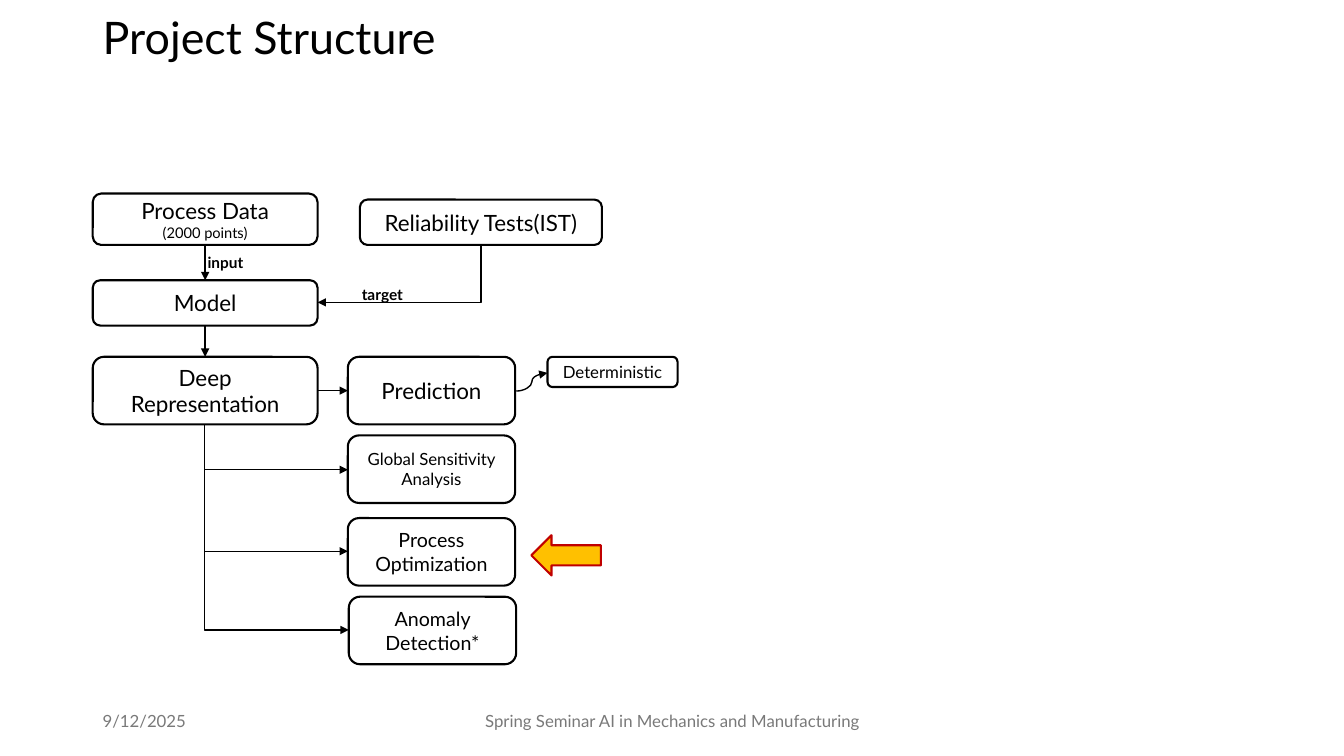
"""Build the Project Structure slide with its process flowchart."""
from lxml.etree import SubElement
from pptx import Presentation
from pptx.dml.color import RGBColor
from pptx.enum.shapes import MSO_CONNECTOR, MSO_SHAPE
from pptx.enum.text import MSO_ANCHOR, MSO_AUTO_SIZE, PP_ALIGN
from pptx.oxml.ns import qn
from pptx.util import Inches, Pt

BLACK = RGBColor(0x00, 0x00, 0x00)
GRAY = RGBColor(0x79, 0x79, 0x79)
AMBER = RGBColor(0xFF, 0xC0, 0x00)
RED = RGBColor(0xC0, 0x00, 0x00)

prs = Presentation()
prs.slide_width, prs.slide_height = Inches(13.33), Inches(7.5)
slide = prs.slides.add_slide(prs.slide_layouts[6])
shapes = slide.shapes


def write(p, text, size, color=BLACK, align=PP_ALIGN.LEFT, bold=False):
    p.text = text
    p.alignment = align
    p.font.name = "Lato"
    p.font.size = Pt(size)
    p.font.bold = bold
    p.font.color.rgb = color


def connect(kind, x1, y1, x2, y2):
    cxn = shapes.add_connector(kind, Inches(x1), Inches(y1), Inches(x2), Inches(y2))
    cxn.line.color.rgb = BLACK
    cxn.line.width = Pt(1)
    SubElement(cxn.line._get_or_add_ln(), qn("a:tailEnd"), type="triangle")
    SubElement(cxn._element.spPr, qn("a:effectLst"))
    return cxn


for text, x, y, w, h, size, color, align, anchor in [
    ("Project Structure", 0.92, 0.11, 11.5, 0.63, 32, BLACK, PP_ALIGN.LEFT, MSO_ANCHOR.TOP),
    ("9/12/2025", 0.92, 6.95, 3, 0.4, 12, GRAY, PP_ALIGN.LEFT, MSO_ANCHOR.MIDDLE),
    ("Spring Seminar AI in Mechanics and Manufacturing", 4.42, 6.95, 4.5, 0.4, 12, GRAY,
     PP_ALIGN.CENTER, MSO_ANCHOR.MIDDLE),
]:
    tf = shapes.add_textbox(Inches(x), Inches(y), Inches(w), Inches(h)).text_frame
    tf.word_wrap = True
    tf.vertical_anchor = anchor
    write(tf.paragraphs[0], text, size, color, align)
    if size == 32:
        tf.paragraphs[0].line_spacing = 0.9

boxes = {}
for text, x, y, w, h, size in [
    ("Process Data", 0.92, 1.92, 2.23, 0.51, 16),
    ("Model", 0.92, 2.78, 2.23, 0.45, 16),
    ("Deep Representation", 0.92, 3.54, 2.23, 0.67, 16),
    ("Reliability Tests(IST)", 3.57, 1.98, 2.4, 0.45, 16),
    ("Prediction", 3.45, 3.54, 1.66, 0.67, 16),
    ("Deterministic", 5.43, 3.54, 1.29, 0.3, 12),
    ("Global Sensitivity Analysis", 3.45, 4.32, 1.66, 0.67, 12),
    ("Process Optimization", 3.45, 5.14, 1.66, 0.67, 14),
    ("Anomaly Detection*", 3.46, 5.92, 1.66, 0.67, 14),
]:
    sp = shapes.add_shape(MSO_SHAPE.FLOWCHART_ALTERNATE_PROCESS,
                          Inches(x), Inches(y), Inches(w), Inches(h))
    sp.shadow.inherit = False
    sp.fill.background()
    sp.line.color.rgb = BLACK
    sp.line.width = Pt(1.5)
    tf = sp.text_frame
    tf.word_wrap = True
    tf.vertical_anchor = MSO_ANCHOR.MIDDLE
    write(tf.paragraphs[0], text, size, align=PP_ALIGN.CENTER)
    boxes[text] = sp
write(boxes["Process Data"].text_frame.add_paragraph(), "(2000 points)", 10.5,
      align=PP_ALIGN.CENTER)

for source, source_side, target, target_side in [
    ("Process Data", 2, "Model", 0),
    ("Model", 2, "Deep Representation", 0),
    ("Deep Representation", 3, "Prediction", 1),
]:
    cxn = connect(MSO_CONNECTOR.STRAIGHT, 0, 0, 1, 1)
    cxn.begin_connect(boxes[source], source_side)
    cxn.end_connect(boxes[target], target_side)

for x1, y1, x2, y2 in [
    (4.77, 2.43, 3.15, 3),
    (2.03, 4.21, 3.45, 4.66),
    (2.03, 4.21, 3.45, 5.47),
    (2.03, 4.21, 3.46, 6.25),
]:
    mid_x, mid_y = (x1 + x2) / 2, (y1 + y2) / 2
    half_w, half_h = (y2 - y1) / 2, abs(x2 - x1) / 2
    turn = 1 if x2 > x1 else -1
    cxn = connect(MSO_CONNECTOR.ELBOW, mid_x + turn * half_w, mid_y - half_h,
                  mid_x - turn * half_w, mid_y + half_h)
    cxn._element.spPr.find(qn("a:xfrm")).set("rot", "16200000" if turn == 1 else "5400000")
    cxn._element.spPr.find(qn("a:prstGeom")).set("prst", "bentConnector2")

connect(MSO_CONNECTOR.CURVE, 5.12, 3.88, 5.43, 3.7)

for text, x, y, w in [("target", 3.49, 2.78, 0.63), ("input", 1.96, 2.46, 0.58)]:
    tf = shapes.add_textbox(Inches(x), Inches(y), Inches(w), Inches(0.29)).text_frame
    tf.word_wrap = False
    tf.auto_size = MSO_AUTO_SIZE.SHAPE_TO_FIT_TEXT
    write(tf.paragraphs[0], text, 11, bold=True)

arrow = shapes.add_shape(MSO_SHAPE.LEFT_ARROW, Inches(5.27), Inches(5.31), Inches(0.69), Inches(0.4))
arrow.shadow.inherit = False
arrow.fill.solid()
arrow.fill.fore_color.rgb = AMBER
arrow.line.color.rgb = RED
arrow.line.width = Pt(1.5)

prs.save("out.pptx")
